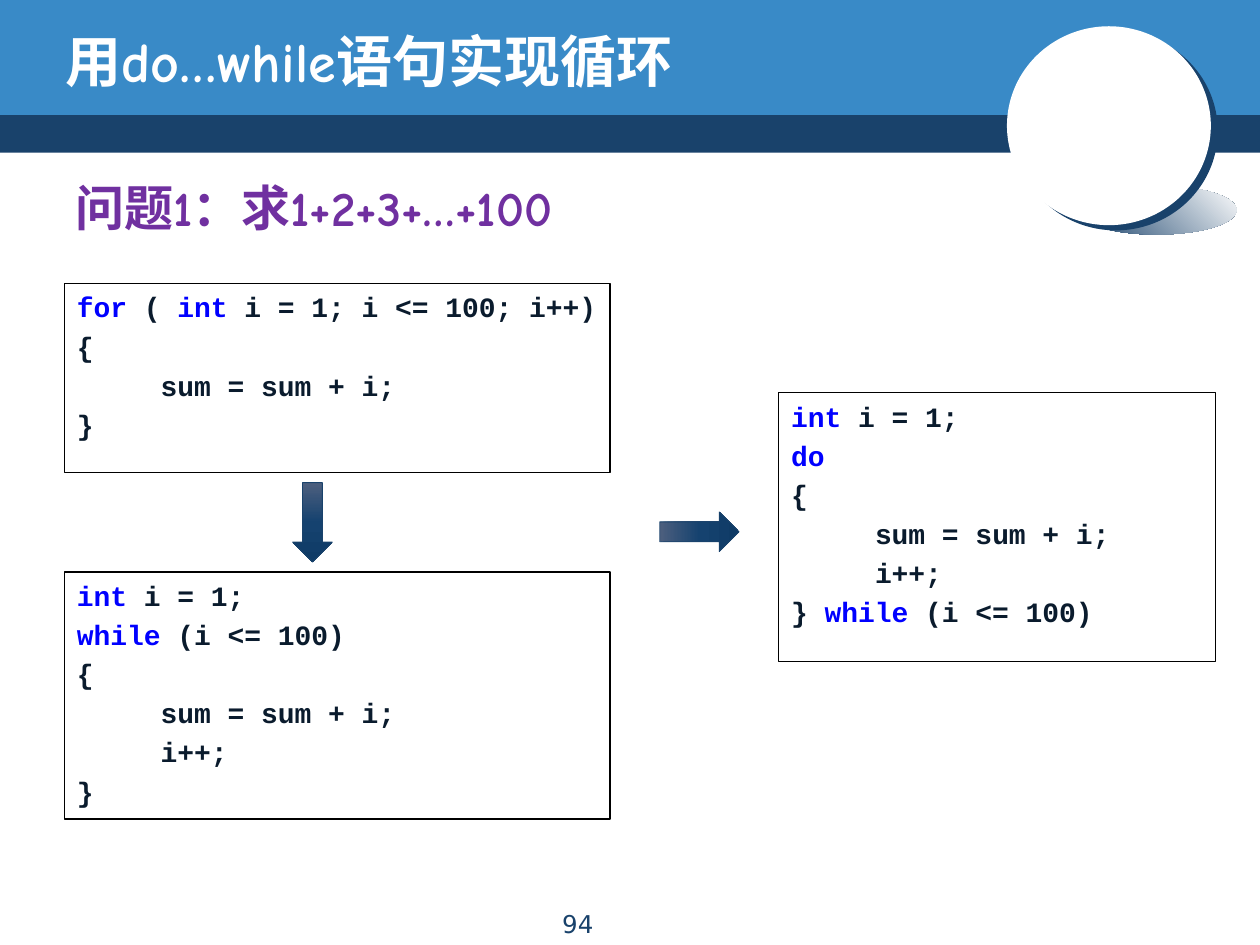
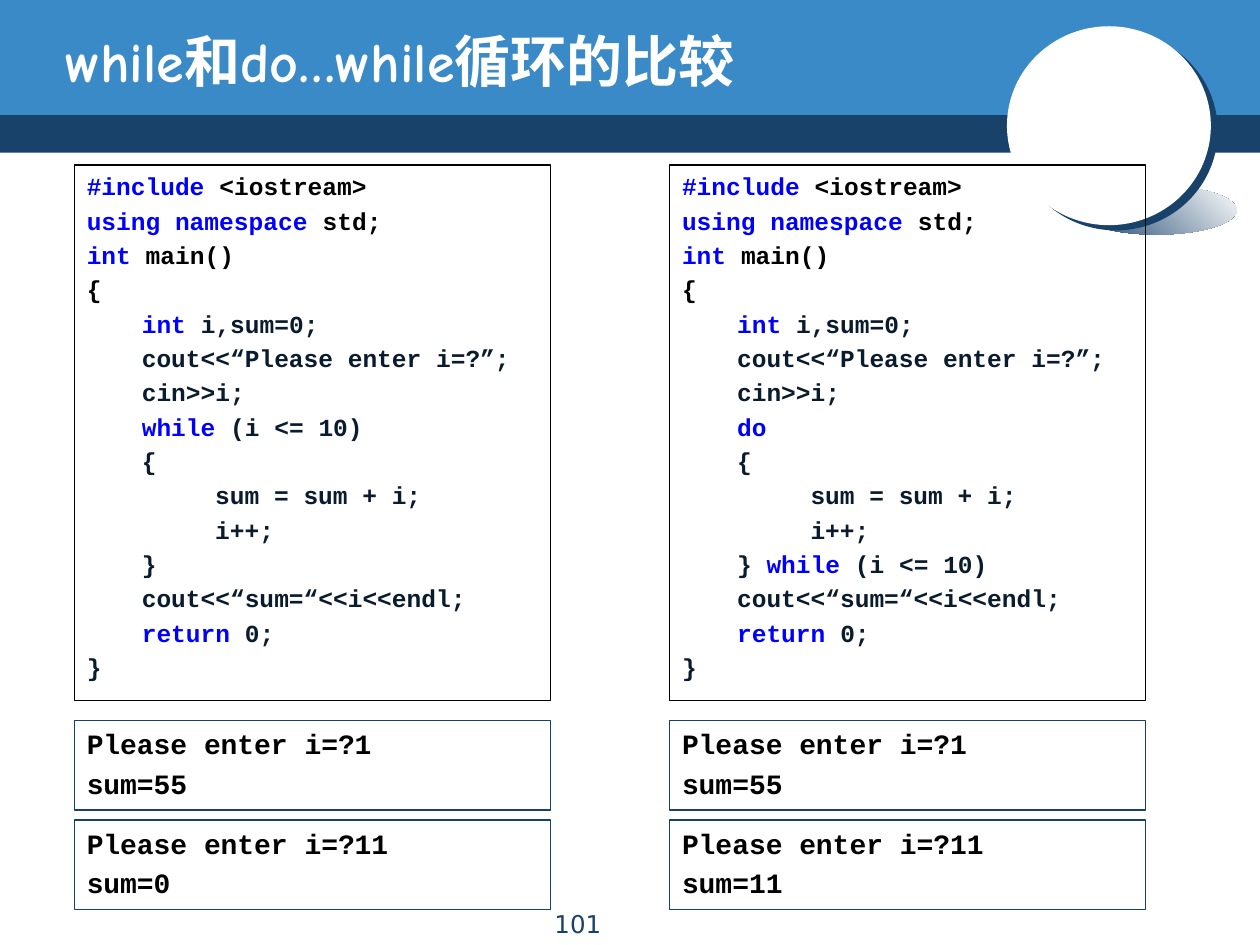
from dataclasses import dataclass

from pptx import Presentation
from pptx import util as u
from pptx.dml.color import RGBColor
from pptx.enum import shapes, text
from pptx.oxml import parse_xml
from pptx.oxml.ns import nsdecls, qn

Cm, Pt = u.Cm, u.Pt
SHAPE = shapes.MSO_SHAPE


@dataclass(frozen=True)
class Theme:
    navy: str = "19426B"
    blue: str = "398AC7"
    white: str = "FFFFFF"
    black: str = "000000"
    ink: str = "0A1B2D"
    keyword: str = "0000FF"
    purple: str = "7030A0"
    arrow: tuple = ((0, "4D5F7E"), (50, "15426F"), (100, "0F3B66"))
    head_font: str = "Comic Neue"
    code_font: str = "Courier New"
    number_font: str = "DejaVu Sans"
    title_size: int = 32
    body_size: int = 28
    code_size: int = 16
    small_code_size: int = 14
    number_size: int = 14
    code_gap: float = 0.2  # space before a line, as a share of its type size


class Deck:
    """Holds the theme and the current slide."""

    def __init__(self, theme):
        self.t = theme
        self.prs = Presentation()
        self.prs.slide_width, self.prs.slide_height = Cm(25.4), Cm(19.05)
        self.s = None

    # Basic parts
    def run(self, p, txt, font, size, color, bold=True):
        r = p.add_run()
        r.text = txt
        r.font.name, r.font.size, r.font.bold = font, Pt(size), bold
        r.font.color.rgb = RGBColor.from_string(color)

    def shape(self, kind, box, fill=None, line=None, width=0.75):
        sp = self.s.shapes.add_shape(kind, *map(Cm, box))
        sp.shadow.inherit = False
        if fill:
            sp.fill.solid()
            sp.fill.fore_color.rgb = RGBColor.from_string(fill)
        else:
            sp.fill.background()
        if line:
            sp.line.color.rgb = RGBColor.from_string(line)
            sp.line.width = Pt(width)
        else:
            sp.line.fill.background()
        return sp

    def gradient(self, sp, stops, angle):
        sp.fill.gradient()
        sp.fill.gradient_angle = angle
        gs_lst = sp._element.spPr.find(qn("a:gradFill")).find(qn("a:gsLst"))
        for gs in list(gs_lst):
            gs_lst.remove(gs)
        for pos, color in stops:
            gs_lst.append(parse_xml(
                f'<a:gs {nsdecls("a")} pos="{pos * 1000}">'
                f'<a:srgbClr val="{color}"/></a:gs>'))

    def placeholder(self, sp, box, txt, size, color):
        sp.left, sp.top, sp.width, sp.height = map(Cm, box)
        tf = sp.text_frame
        tf.auto_size, tf.word_wrap = text.MSO_AUTO_SIZE.NONE, True
        p = tf.paragraphs[0]
        p.alignment = text.PP_ALIGN.LEFT
        self.run(p, txt, self.t.head_font, size, color)
        return tf

    # Shared frame: bands, ball, title, page number
    def new_slide(self, title, number, body=None):
        t = self.t
        self.s = self.prs.slides.add_slide(self.prs.slide_layouts[1 if body else 5])
        self.backdrop()
        tf = self.placeholder(self.s.shapes.title, (1.07, 0.43, 20.52, 1.57),
                              title, t.title_size, t.white)
        tf.vertical_anchor = text.MSO_ANCHOR.MIDDLE
        if body:
            tf = self.placeholder(self.s.placeholders[1], (1.27, 3.45, 22.86, 1.68),
                                  body, t.body_size, t.purple)
            pPr = tf.paragraphs[0]._p.get_or_add_pPr()
            pPr.set("marL", "0")
            pPr.set("indent", "0")
            pPr.append(parse_xml(f'<a:buNone {nsdecls("a")}/>'))
        self.page_number(number)

    def backdrop(self):
        t = self.t
        dark = self.shape(SHAPE.RECTANGLE, (0, 2.21, 25.4, 0.87), t.navy)
        light = self.shape(SHAPE.RECTANGLE, (0, 0, 25.4, 2.32), t.blue)
        shade = self.shape(SHAPE.OVAL, (21.7, 3.74, 3.23, 0.99))
        self.gradient(shade, ((0, t.navy), (100, t.white)), 45)
        ball = self.shape(SHAPE.OVAL, (20.3, 0.53, 4.11, 4.01), t.white)
        ball._element.spPr.find(qn("a:effectLst")).append(parse_xml(
            f'<a:outerShdw {nsdecls("a")} dist="{Pt(5)}" dir="{37 * 60000}" '
            f'algn="ctr" rotWithShape="0"><a:srgbClr val="{t.navy}"/></a:outerShdw>'))
        # Send the backdrop behind the placeholders
        tree = self.s.shapes._spTree
        for i, sp in enumerate((dark, light, shade, ball)):
            tree.insert(2 + i, sp._element)

    def page_number(self, number):
        sp = self.s.shapes.add_textbox(*map(Cm, (8.69, 18.21, 5.92, 0.66)))
        tf = sp.text_frame
        tf.word_wrap = True
        p = tf.paragraphs[0]
        p.alignment = text.PP_ALIGN.CENTER
        self.run(p, str(number), self.t.number_font, self.t.number_size,
                 self.t.navy, bold=False)

    # Content parts
    def code(self, box, lines, size, indents=(0,), line=None, black_lines=0):
        """Tabs set the indent level; words between asterisks are keywords."""
        t = self.t
        tf = self.shape(SHAPE.RECTANGLE, box, line=line or t.black).text_frame
        tf.word_wrap = True
        tf.vertical_anchor = text.MSO_ANCHOR.TOP
        for n, row in enumerate(lines):
            p = tf.add_paragraph() if n else tf.paragraphs[0]
            p.alignment = text.PP_ALIGN.LEFT
            p.space_before = Pt(size * t.code_gap)
            p._p.get_or_add_pPr().set("marL", str(Cm(indents[row.count("\t")])))
            plain = t.black if n < black_lines else t.ink
            for i, part in enumerate(row.strip("\t").split("*")):
                if part:
                    self.run(p, part, t.code_font, size, t.keyword if i % 2 else plain)

    def output(self, box, lines):
        self.code(box, lines, self.t.code_size, line=self.t.navy,
                  black_lines=len(lines))

    def arrow(self, left, top, rotation=0):
        sp = self.shape(SHAPE.DOWN_ARROW, (left, top, 0.8, 1.6),
                        line=self.t.navy, width=0.5)
        self.gradient(sp, self.t.arrow, 270)
        sp.rotation = rotation


FOR_LOOP = ["*for* ( *int *i = 1; i <= 100; i++)", "{", "\tsum = sum + i;", "}"]
WHILE_LOOP = ["*int *i = 1;", "*while* (i <= 100)", "{",
              "\tsum = sum + i;", "\ti++;", "}"]
DO_LOOP = ["*int *i = 1;", "*do*", "{",
           "\tsum = sum + i;", "\ti++;", "}* while* (i <= 100)"]


def program(opening, closing):
    return ["*#include *<iostream>", "*using namespace *std;", "*int *main()", "{",
            "\t*int *i,sum=0;", "\tcout<<“Please enter i=?”;", "\tcin>>i;",
            "\t" + opening, "\t{", "\t\tsum = sum + i;", "\t\ti++;", "\t" + closing,
            "\tcout<<“sum=“<<i<<endl;", "\t*return* 0;", "}"]


def loop_slide(d):
    d.new_slide("用do…while语句实现循环", 94, "问题1：求1+2+3+…+100")
    for box, lines in (((1.3, 5.72, 11, 3.81), FOR_LOOP),
                       ((1.3, 11.53, 11, 4.98), WHILE_LOOP),
                       ((15.7, 7.92, 8.8, 5.41), DO_LOOP)):
        d.code(box, lines, d.t.code_size, indents=(0, 1.69))
    d.arrow(5.9, 9.73)
    d.arrow(13.7, 9.92, 270)


def comparison_slide(d):
    d.new_slide("while和do…while循环的比较", 101)
    columns = ((program("*while* (i <= 10)", "}"), (55, 0)),
               (program("*do*", "}* while* (i <= 10)"), (55, 11)))
    for col, (lines, sums) in enumerate(columns):
        left = 1.5 + 12 * col
        d.code((left, 3.33, 9.6, 10.8), lines, d.t.small_code_size,
               indents=(0, 1.11, 2.59), black_lines=4)
        for row, (entered, total) in enumerate(zip((1, 11), sums)):
            d.output((left, 14.53 + 2 * row, 9.6, 1.8),
                     [f"Please enter i=?{entered}", f"sum={total}"])


def main():
    d = Deck(Theme())
    loop_slide(d)
    comparison_slide(d)
    d.prs.save("out.pptx")


if __name__ == "__main__":
    main()
